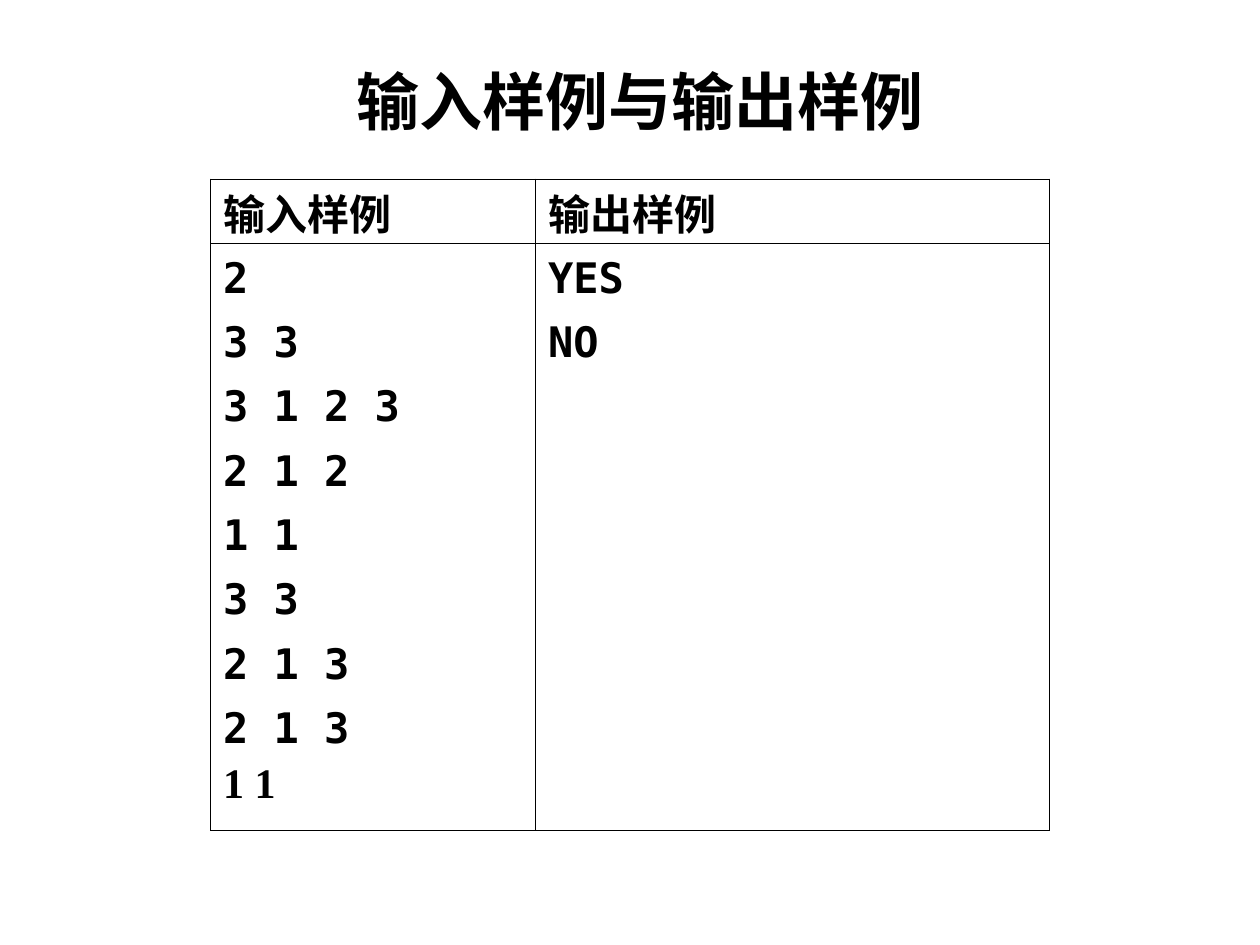
import pptx
import pptx.dml.color
import pptx.enum.text
import pptx.oxml
import pptx.oxml.ns
import pptx.util
from pptx.util import Inches

ALIGN = pptx.enum.text.PP_ALIGN


def color(code):
    return pptx.dml.color.RGBColor.from_string(code)


class Deck:
    serif = "Times New Roman"
    mono = "DejaVu Sans Mono"
    ink = "000000"
    outer, inner = 0.5, 0.23

    def __init__(self):
        self.prs = pptx.Presentation()
        self.prs.slide_width = Inches(10)
        self.prs.slide_height = Inches(7.5)
        self.slide = self.prs.slides.add_slide(self.prs.slide_layouts[6])

    def style(self, para, text, size, face, lead, align, gap=0):
        para.text = text
        para.alignment = align
        para.line_spacing = lead
        para.space_before = pptx.util.Pt(gap)
        font = para.font
        font.name, font.size, font.bold = face, pptx.util.Pt(size), True
        font.color.rgb = color(self.ink)

    def title(self, text, left, top, width, height):
        box = self.slide.shapes.add_textbox(
            Inches(left), Inches(top), Inches(width), Inches(height))
        frame = box.text_frame
        frame.word_wrap = True
        self.style(frame.paragraphs[0], text, 36, self.serif, 1.2, ALIGN.CENTER)

    def border(self, cell, side, width):
        props = cell._tc.get_or_add_tcPr()
        props.append(pptx.oxml.parse_xml(
            f'<a:{side} {pptx.oxml.ns.nsdecls("a")} w="{pptx.util.Pt(width)}">'
            f'<a:solidFill><a:srgbClr val="{self.ink}"/></a:solidFill>'
            f'</a:{side}>'))

    def cell(self, cell, lines, edges):
        frame = cell.text_frame
        for i, (text, face, lead, align) in enumerate(lines):
            para = frame.add_paragraph() if i else frame.paragraphs[0]
            self.style(para, text, 24, face, lead, align, 6 if i else 0)
        # Borders come before the fill in the cell properties
        for side, edge in edges.items():
            self.border(cell, side, self.outer if edge else self.inner)
        cell.fill.background()

    def table(self, rows, left, top, widths, heights):
        table = self.slide.shapes.add_table(
            len(heights), len(widths), Inches(left), Inches(top),
            Inches(sum(widths)), Inches(sum(heights))).table
        table.first_row = table.horz_banding = False
        for col, width in zip(table.columns, widths):
            col.width = Inches(width)
        for row, height in zip(table.rows, heights):
            row.height = Inches(height)
        for r, row in enumerate(rows):
            for c, lines in enumerate(row):
                edges = {"lnL": c == 0, "lnR": c == len(widths) - 1,
                         "lnT": r == 0, "lnB": r == len(heights) - 1}
                self.cell(table.cell(r, c), lines, edges)


def head(text):
    return [(text, Deck.serif, 0.93, ALIGN.JUSTIFY)]


def code(*lines):
    return [(text, Deck.mono, 1.1, ALIGN.LEFT) for text in lines]


def main():
    deck = Deck()

    # Title
    deck.title("输入样例与输出样例", 0.83, 0.33, 8.5, 1.25)

    # Sample input and output; the last input line is set in serif
    inputs = code("2", "3 3", "3 1 2 3", "2 1 2", "1 1", "3 3", "2 1 3", "2 1 3")
    inputs.append(("1 1", Deck.serif, 0.93, ALIGN.LEFT))
    rows = [[head("输入样例"), head("输出样例")],
            [inputs, code("YES", "NO")]]
    deck.table(rows, 1.67, 1.42, [2.58, 4.08], [0.51, 4.66])

    deck.prs.save("out.pptx")


if __name__ == "__main__":
    main()
